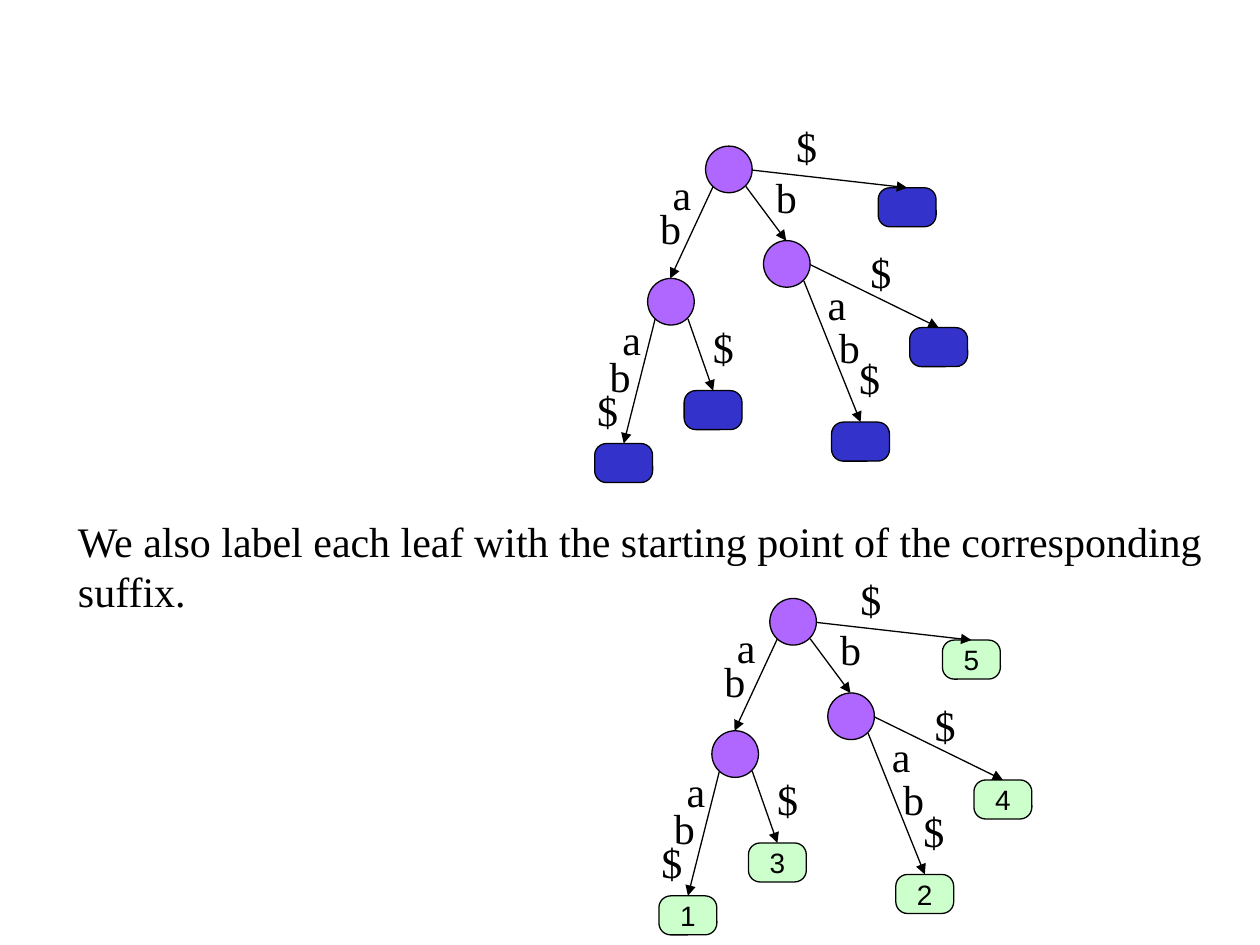
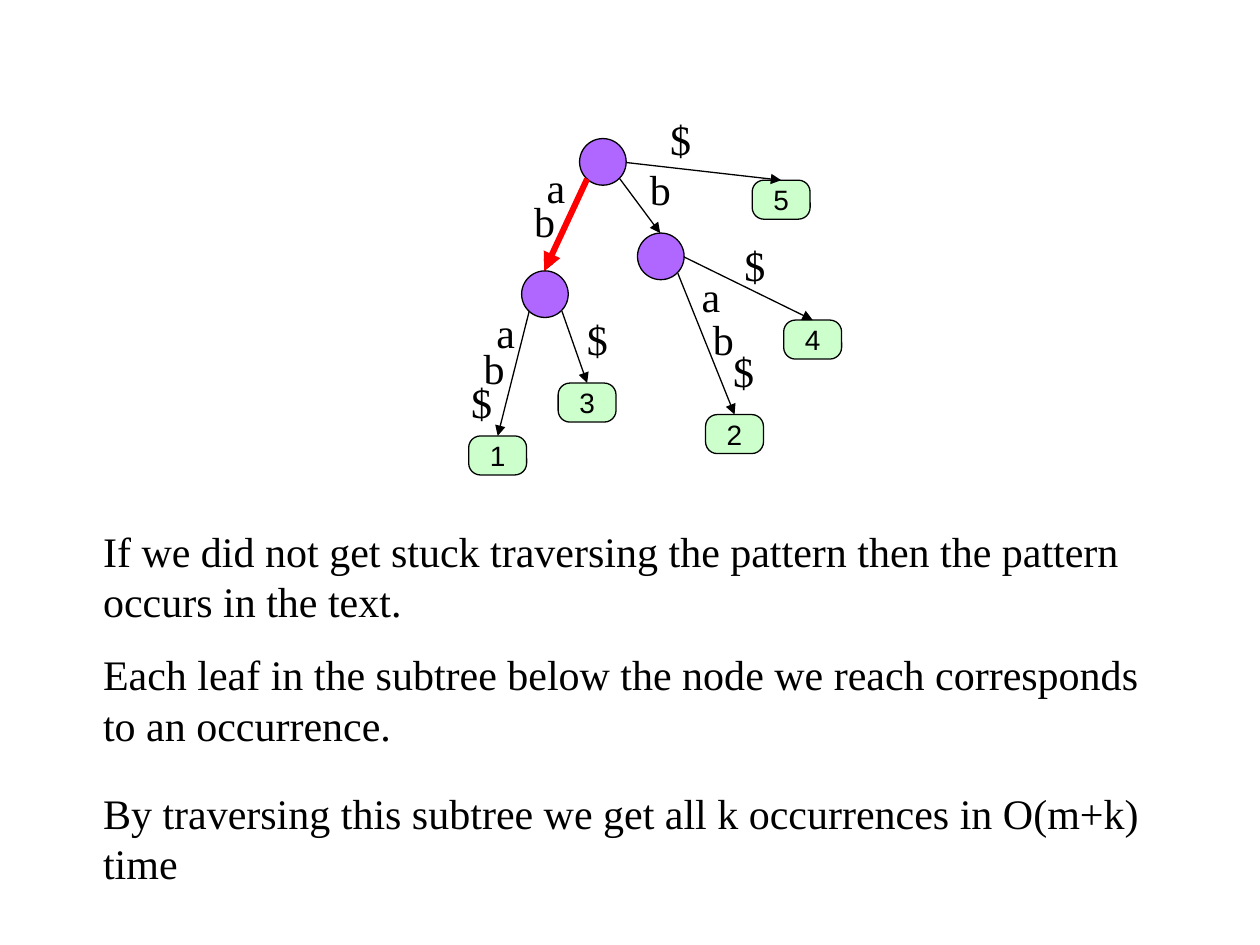
from lxml.etree import SubElement
from pptx import Presentation
from pptx.dml.color import RGBColor
from pptx.enum.shapes import MSO_CONNECTOR, MSO_SHAPE
from pptx.enum.text import MSO_ANCHOR, MSO_AUTO_SIZE, PP_ALIGN
from pptx.oxml.ns import qn
from pptx.util import Pt

PX = 9144  # 100 px to the inch
COLORS = {"ink": "000000", "node": "AF67FF", "blank": "3333CC",
          "numbered": "CCFFCC", "match": "FF0000"}
RGB = {name: RGBColor.from_string(value) for name, value in COLORS.items()}
SERIF = {"name": "Times New Roman", "size": Pt(24)}
SANS = {"name": "Arial", "size": Pt(16)}

NODE, LEAF_W, LEAF_H = 37, 46, 31
LABEL_W, LABEL_H = 42, 50

# Every place in a tree is measured from the top left corner of its root.
NODES = {"root": (0, 0), "ab": (-46, 105), "b": (46, 75)}
LEAVES = {"1": (-88, 236), "2": (100, 219), "3": (-17, 194),
          "4": (162, 144), "5": (137, 33)}
EXITS = {"left": (6, 32), "right": (32, 32), "side": (37, 19)}
# parent, exit, child, letters with their places
EDGES = [
    ("root", "left", "ab", [("a", -36, 13), ("b", -46, 40)]),
    ("root", "right", "b", [("b", 46, 15)]),
    ("root", "side", "5", [("$", 62, -25)]),
    ("ab", "left", "1", [("a", -76, 128), ("b", -86, 157), ("$", -96, 184)]),
    ("ab", "right", "3", [("$", -4, 134)]),
    ("b", "right", "2", [("a", 87, 100), ("b", 96, 134), ("$", 112, 159)]),
    ("b", "side", "4", [("$", 121, 75)]),
]

# trees: root left, root top, leaf style; texts: left, top, width, wording
SLIDES = [
    {"trees": [(560, 116, "blank"), (611, 475, "numbered")],
     "match": False,
     "texts": [(52, 404, 942, "We also label each leaf with the starting point "
                              "of the corresponding suffix.")]},
    {"trees": [(460, 110, "numbered")],
     "match": True,
     "texts": [(72, 412, 850, "If we did not get stuck traversing the pattern "
                              "then the pattern occurs in the text."),
               (72, 510, 850, "Each leaf in the subtree below the node we reach "
                              "corresponds to an occurrence."),
               (72, 620, 850, "By traversing this subtree we get all k "
                              "occurrences in O(m+k) time")]},
]


def add_text(s, text, x, y, w, h):
    tf = s.shapes.add_textbox(x * PX, y * PX, w * PX, h * PX).text_frame
    tf.word_wrap = True
    tf.auto_size = MSO_AUTO_SIZE.SHAPE_TO_FIT_TEXT
    r = tf.paragraphs[0].add_run()
    r.text = text
    r.font.color.rgb = RGB["ink"]
    for key, value in SERIF.items():
        setattr(r.font, key, value)


def add_edge(s, x, y, parent, exit_side, child, color="ink", width=0.75):
    """Draw an arrow from a node to the top centre of its child, root at x, y."""
    (px, py), (dx, dy) = NODES[parent], EXITS[exit_side]
    cx, cy = NODES.get(child) or LEAVES[child]
    half = (NODE if child in NODES else LEAF_W) // 2
    line = s.shapes.add_connector(
        MSO_CONNECTOR.STRAIGHT, (x + px + dx) * PX, (y + py + dy) * PX,
        (x + cx + half) * PX, (y + cy) * PX)
    line.line.color.rgb = RGB[color]
    line.line.width = Pt(width)
    SubElement(line.line._get_or_add_ln(), qn("a:tailEnd"), type="triangle")
    SubElement(line._element.spPr, qn("a:effectLst"))


prs = Presentation()
prs.slide_width, prs.slide_height = 1000 * PX, 750 * PX

for content in SLIDES:
    s = prs.slides.add_slide(prs.slide_layouts[6])

    for x, y, leaf_style in content["trees"]:
        for name, (dx, dy) in (NODES | LEAVES).items():
            is_node = name in NODES
            kind = MSO_SHAPE.OVAL if is_node else MSO_SHAPE.ROUNDED_RECTANGLE
            w, h = (NODE, NODE) if is_node else (LEAF_W, LEAF_H)
            sp = s.shapes.add_shape(kind, (x + dx) * PX, (y + dy) * PX,
                                    w * PX, h * PX)
            sp.shadow.inherit = False
            sp.fill.solid()
            sp.fill.fore_color.rgb = RGB["node" if is_node else leaf_style]
            sp.line.color.rgb = RGB["ink"]
            sp.line.width = Pt(0.75)
            if is_node:
                continue
            sp.adjustments[0] = 0.3
            if leaf_style == "numbered":
                tf = sp.text_frame
                tf.word_wrap = False
                tf.vertical_anchor = MSO_ANCHOR.MIDDLE
                p = tf.paragraphs[0]
                p.alignment = PP_ALIGN.CENTER
                r = p.add_run()
                r.text = name
                r.font.color.rgb = RGB["ink"]
                for key, value in SANS.items():
                    setattr(r.font, key, value)

        for parent, exit_side, child, letters in EDGES:
            add_edge(s, x, y, parent, exit_side, child)
            for letter, dx, dy in letters:
                add_text(s, letter, x + dx, y + dy, LABEL_W, LABEL_H)

        if content["match"]:
            add_edge(s, x, y, "root", "left", "ab", "match", 3.5)

    for x, y, w, text in content["texts"]:
        add_text(s, text, x, y, w, 90)

prs.save("out.pptx")
